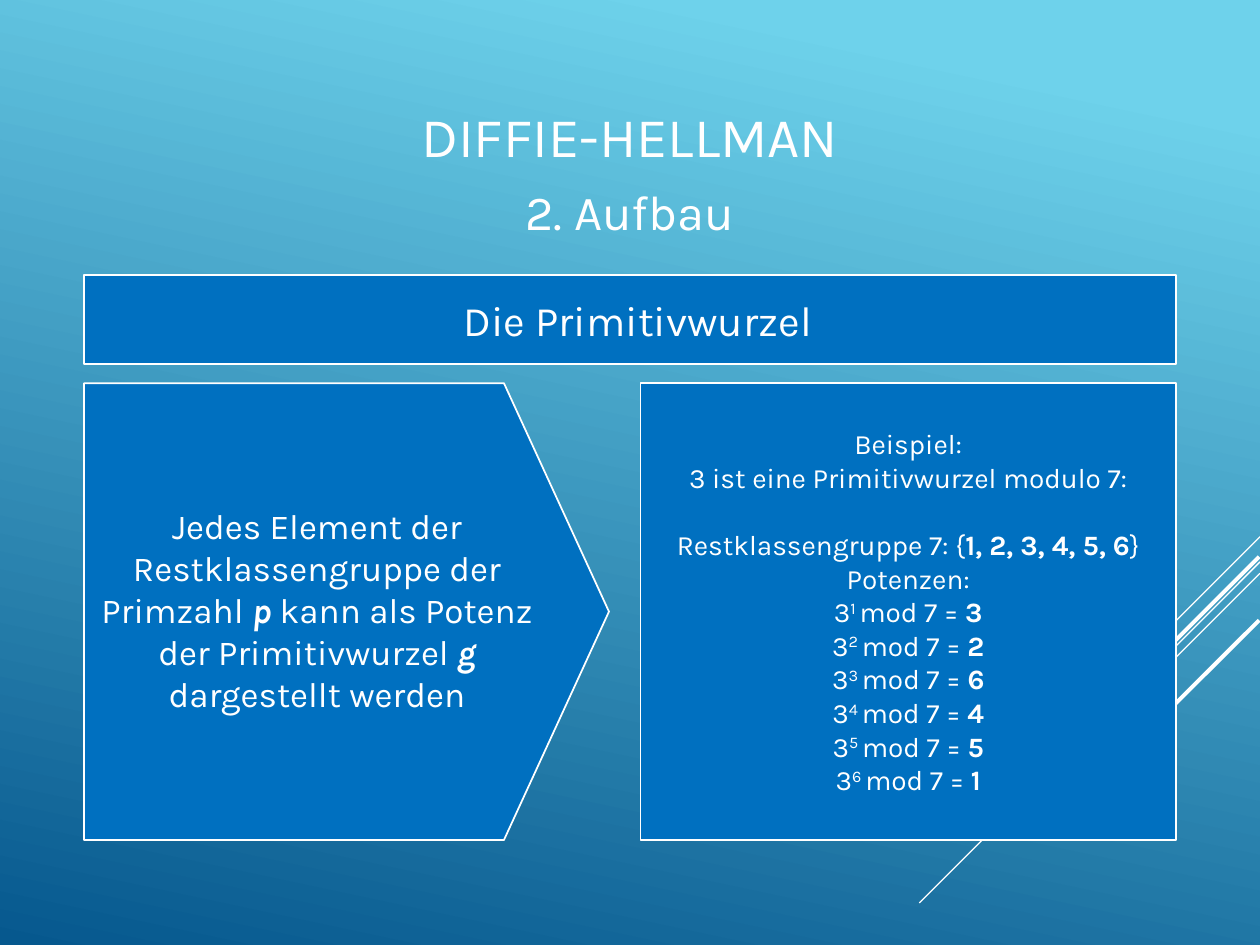
from lxml import etree
from pptx import Presentation
from pptx.dml.color import RGBColor
from pptx.enum.shapes import MSO_CONNECTOR, MSO_SHAPE
from pptx.enum.text import MSO_ANCHOR, PP_ALIGN
from pptx.oxml.ns import qn
from pptx.util import Pt

RECT = MSO_SHAPE.RECTANGLE
OFFPAGE = MSO_SHAPE.FLOWCHART_OFFPAGE_CONNECTOR
STRAIGHT = MSO_CONNECTOR.STRAIGHT
TOP, MIDDLE = MSO_ANCHOR.TOP, MSO_ANCHOR.MIDDLE
CENTER = PP_ALIGN.CENTER

WHITE = RGBColor(0xFF, 0xFF, 0xFF)
BLUE = RGBColor(0x00, 0x70, 0xC0)
SKY = RGBColor(0x6E, 0xD2, 0xEB)
DEEP = RGBColor(0x06, 0x58, 0x8E)

FONT = "Karla"
SLIDE_W, SLIDE_H = 720, 540
LEFT, CONTENT_W = 48, 624
HEAD_Y, HEAD_H = 157, 51
BODY_Y, BODY_H = 219, 261
ARROW_W = 300
EXAMPLE_W = 306
BLANK_LINE = 19.2

BOLD = {"bold": True}
BOLD_ITALIC = {"bold": True, "italic": True}
SUPER = "super"

# x1, y1, x2, y2, line width
DIAGONALS = [
    (720, 306.7, 660.2, 366.5, 0.75),
    (720, 321.1, 525.3, 516, 0.75),
    (720, 327.6, 596.2, 451.4, 0.75),
    (719.5, 318.2, 606.2, 431.5, 2.25),
    (719.5, 354.4, 637.2, 436.6, 2.25),
]
POWERS = [3, 2, 6, 4, 5, 1]  # 3^k mod 7 for k = 1..6


def paint_background(slide):
    fill = slide.background.fill
    fill.gradient()
    fill.gradient_angle = 258
    for stop, color, position in zip(fill.gradient_stops, (SKY, DEEP), (0.1, 1)):
        stop.color.rgb = color
        stop.position = position


def add_diagonal(slide, x1, y1, x2, y2, width):
    line = slide.shapes.add_connector(STRAIGHT, Pt(x1), Pt(y1), Pt(x2), Pt(y2))
    line.line.color.rgb = WHITE
    line.line.width = Pt(width)
    etree.SubElement(line._element.spPr, qn("a:effectLst"))


def add_panel(slide, kind, x, y, w, h):
    sp = slide.shapes.add_shape(kind, Pt(x), Pt(y), Pt(w), Pt(h))
    sp.shadow.inherit = False
    sp.fill.solid()
    sp.fill.fore_color.rgb = BLUE
    sp.line.color.rgb = WHITE
    sp.line.width = Pt(1)
    return sp


def add_arrow_panel(slide, x, y, w, h):
    """Off-page connector turned to point right, filling the box x, y, w, h."""
    shift = (w - h) / 2
    sp = add_panel(slide, OFFPAGE, x + shift, y - shift, h, w)
    sp.rotation = 270


def add_run(p, text, size, style=None):
    r = p.add_run()
    r.text = text
    formats = {"name": FONT, "size": Pt(size)}
    if style == SUPER:
        r._r.get_or_add_rPr().set("baseline", "30000")
    elif style:
        formats.update(style)
    for name, value in formats.items():
        setattr(r.font, name, value)
    r.font.color.rgb = WHITE


def write(sp, size, paragraphs, anchor=MIDDLE):
    """Fill a shape with centred paragraphs, each a list of (text, style) runs."""
    tf = sp.text_frame
    tf.word_wrap = True
    tf.vertical_anchor = anchor
    for i, runs in enumerate(paragraphs):
        p = tf.add_paragraph() if i else tf.paragraphs[0]
        p.alignment = CENTER
        for text, style in runs:
            add_run(p, text, size, style)
    return tf


def add_text(slide, x, y, w, h, size, runs, anchor=TOP):
    box = slide.shapes.add_textbox(Pt(x), Pt(y), Pt(w), Pt(h))
    write(box, size, [runs], anchor)


def example_paragraphs():
    intro = [
        [("Beispiel:", None)],
        [("3 ist eine Primitivwurzel modulo 7:", None)],
        [("Restklassengruppe 7: {", None), ("1, 2, 3, 4, 5, 6", BOLD), ("}", None)],
        [("Potenzen:", None)],
    ]
    powers = [
        [("3", None), (f"{k} ", SUPER), ("mod 7 = ", None), (str(rest), BOLD)]
        for k, rest in enumerate(POWERS, 1)
    ]
    return intro + powers


def main():
    prs = Presentation()
    prs.slide_width, prs.slide_height = Pt(SLIDE_W), Pt(SLIDE_H)
    slide = prs.slides.add_slide(prs.slide_layouts[6])
    paint_background(slide)
    for diagonal in DIAGONALS:
        add_diagonal(slide, *diagonal)

    add_arrow_panel(slide, LEFT, BODY_Y, ARROW_W, BODY_H)
    heading = add_panel(slide, RECT, LEFT, HEAD_Y, CONTENT_W, HEAD_H)
    tf = write(heading, 24, [[("Die Primitivwurzel", None)]])
    tf.margin_left = Pt(16)

    add_text(slide, 0, 17, SLIDE_W, 120, 32, [("DIFFIE-HELLMAN", None)], MIDDLE)
    add_text(slide, 0, 100, SLIDE_W, 41, 28, [("2. Aufbau", None)])
    add_text(slide, LEFT, 284.5, 266.5, 128, 20, [
        ("Jedes Element der Restklassengruppe der Primzahl ", None),
        ("p", BOLD_ITALIC),
        (" kann als Potenz der Primitivwurzel ", None),
        ("g", BOLD_ITALIC),
        (" dargestellt werden", None),
    ])

    example_x = LEFT + CONTENT_W - EXAMPLE_W
    example = add_panel(slide, RECT, example_x, BODY_Y, EXAMPLE_W, BODY_H)
    tf = write(example, 16, example_paragraphs())
    tf.paragraphs[2].space_before = Pt(BLANK_LINE)

    prs.save("out.pptx")


if __name__ == "__main__":
    main()
